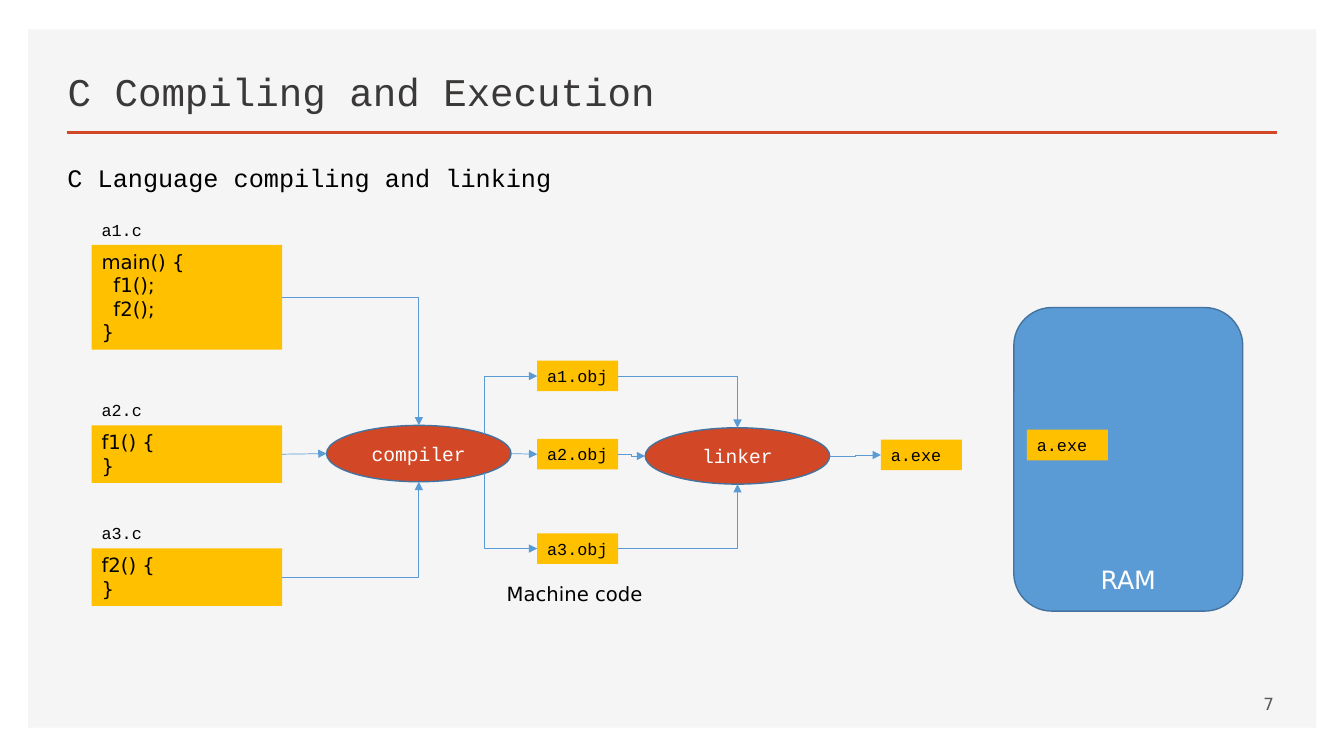
from dataclasses import dataclass
from math import sqrt

from lxml.etree import SubElement
from pptx import Presentation
from pptx.dml.color import RGBColor
from pptx.enum.shapes import MSO_CONNECTOR as CONNECTOR, MSO_SHAPE as SHAPE
from pptx.enum.text import MSO_ANCHOR as ANCHOR, MSO_AUTO_SIZE as AUTO_SIZE, PP_ALIGN as ALIGN
from pptx.oxml.ns import qn
from pptx.util import Cm, Pt


@dataclass(frozen=True)
class Theme:
    mono: str = "Courier New"
    sans: str = "DejaVu Sans"
    panel: str = "F5F5F5"
    accent: str = "D24726"
    file: str = "FFC000"
    memory: str = "5B9BD5"
    outline: str = "43739E"
    heading: str = "3B3838"
    text: str = "000000"
    light: str = "FFFFFF"
    muted: str = "595959"
    title_size: int = 28
    large_size: int = 18
    code_size: int = 14
    small_size: int = 12


@dataclass(frozen=True)
class Box:
    left: float
    top: float
    width: float
    height: float

    def inner(self, left, top, width, height):
        return Box(self.left + left, self.top + top, width, height)

    def point(self, across, down):
        return self.left + across * self.width, self.top + down * self.height

    def lengths(self):
        return Cm(self.left), Cm(self.top), Cm(self.width), Cm(self.height)


THEME = Theme()
DIAGONAL = sqrt(0.5) / 2
LEFT, RIGHT, TOP, BOTTOM = (0, 0.5), (1, 0.5), (0.5, 0), (0.5, 1)
UPPER_RIGHT = (0.5 + DIAGONAL, 0.5 - DIAGONAL)
LOWER_RIGHT = (0.5 + DIAGONAL, 0.5 + DIAGONAL)
FILE_WIDTH, FILE_HEIGHT = 2.04, 0.77
CODE_INDENT = Cm(0.3)


def color(value):
    return RGBColor.from_string(value)


def write(shape, text, font, size, ink, align=ALIGN.LEFT, anchor=ANCHOR.TOP):
    frame = shape.text_frame
    frame.text = text
    frame.word_wrap = True
    frame.auto_size = AUTO_SIZE.NONE
    frame.vertical_anchor = anchor
    if align == ALIGN.LEFT:
        frame.margin_right = 0
    for paragraph in frame.paragraphs:
        paragraph.alignment = align
        for run in paragraph.runs:
            run.font.name = font
            run.font.size = Pt(size)
            run.font.color.rgb = color(ink)


def add_text(slide, box, *style, **placing):
    write(slide.shapes.add_textbox(*box.lengths()), *style, **placing)


def add_block(slide, box, kind, fill, outline=None):
    shape = slide.shapes.add_shape(kind, *box.lengths())
    shape.shadow.inherit = False
    shape.fill.solid()
    shape.fill.fore_color.rgb = color(fill)
    if outline:
        shape.line.color.rgb = color(outline)
        shape.line.width = Pt(1)
    else:
        shape.line.fill.background()
    return shape


def add_line(slide, start, end, ink, width, kind=CONNECTOR.STRAIGHT):
    ends = [Cm(value) for value in (*start, *end)]
    line = slide.shapes.add_connector(kind, *ends)
    line.line.color.rgb = color(ink)
    line.line.width = Pt(width)
    SubElement(line._element.spPr, qn("a:effectLst"))
    return line


def add_arrow(slide, start, end, kind=CONNECTOR.STRAIGHT, corner=False, head="a:tailEnd"):
    arrow = add_line(slide, start, end, THEME.memory, 0.5, kind)
    if corner:
        arrow._element.spPr.find(qn("a:prstGeom")).set("prst", "bentConnector2")
    SubElement(arrow.line._get_or_add_ln(), qn(head), type="triangle")


def add_corner_arrow(slide, start, end, head="a:tailEnd"):
    add_arrow(slide, start, end, CONNECTOR.ELBOW, True, head)


def add_file(slide, box, name):
    block = add_block(slide, box, SHAPE.RECTANGLE, THEME.file)
    write(block, name, THEME.mono, THEME.small_size, THEME.text)
    return box


def add_tool(slide, box, name):
    oval = add_block(slide, box, SHAPE.OVAL, THEME.accent, THEME.outline)
    write(oval, name, THEME.mono, THEME.code_size, THEME.light, ALIGN.CENTER, ANCHOR.MIDDLE)
    return box


def add_frame(slide, box):
    add_block(slide, box, SHAPE.RECTANGLE, THEME.panel)
    add_line(slide, (box.left + 0.97, box.top + 2.59), (box.left + 31.47, box.top + 2.59),
             THEME.accent, 2)
    title = slide.shapes.title
    title.left, title.top, title.width, title.height = box.inner(0.74, 0.5, 19.1, 1.78).lengths()
    write(title, "C Compiling and Execution", THEME.mono, THEME.title_size, THEME.heading,
          anchor=ANCHOR.BOTTOM)
    slide.shapes._spTree.append(title._element)
    add_text(slide, box.inner(0.74, 3.22, 13.54, 1.02), "C Language compiling and linking",
             THEME.mono, THEME.large_size, THEME.text)
    add_text(slide, box.inner(22.56, 16.48, 9.09, 1.02), "7", THEME.sans, THEME.small_size,
             THEME.muted, align=ALIGN.RIGHT, anchor=ANCHOR.MIDDLE)


def add_sources(slide, box):
    sources = (
        ("a1.c", "main() {\nf1();\nf2();\n}", 0, 2.64),
        ("a2.c", "f1() {\n}", 4.55, 1.45),
        ("a3.c", "f2() {\n}", 7.65, 1.45),
    )
    blocks = []
    for name, code, top, height in sources:
        add_text(slide, box.inner(0, top, 2.31, FILE_HEIGHT), name, THEME.mono,
                 THEME.small_size, THEME.text)
        block_box = box.inner(0, top + FILE_HEIGHT, box.width, height)
        block = add_block(slide, block_box, SHAPE.RECTANGLE, THEME.file)
        write(block, code, THEME.sans, THEME.code_size, THEME.text)
        for paragraph in block.text_frame.paragraphs[1:-1]:
            paragraph._p.get_or_add_pPr().set("marL", str(CODE_INDENT))
        blocks.append(block_box)
    return blocks


def add_objects(slide, box):
    add_text(slide, box.inner(-1.02, 5.46, 4.93, 0.86), "Machine code", THEME.sans,
             THEME.code_size, THEME.text)
    return [add_file(slide, box.inner(0, top, FILE_WIDTH, FILE_HEIGHT), f"a{number}.obj")
            for number, top in enumerate((0, 1.97, 4.35), 1)]


def add_inputs(slide, files, tool):
    first, second, third = (file.point(*RIGHT) for file in files)
    add_corner_arrow(slide, first, tool.point(*TOP))
    add_corner_arrow(slide, third, tool.point(*BOTTOM))
    return second


def add_toolchain(slide, box):
    sources = add_sources(slide, box.inner(0, 0, 4.8, 9.87))
    compiler = add_tool(slide, box.inner(5.92, 5.32, 4.65, 1.42), "compiler")
    objects = add_objects(slide, box.inner(11.23, 3.69, FILE_WIDTH, 6.32))
    linker = add_tool(slide, box.inner(13.95, 5.38, 4.65, 1.42), "linker")
    program = add_file(slide, box.inner(19.89, 5.68, FILE_WIDTH, FILE_HEIGHT), "a.exe")

    add_arrow(slide, add_inputs(slide, sources, compiler), compiler.point(*LEFT))
    add_corner_arrow(slide, objects[0].point(*LEFT), compiler.point(*UPPER_RIGHT), "a:headEnd")
    add_arrow(slide, compiler.point(*RIGHT), objects[1].point(*LEFT))
    add_corner_arrow(slide, objects[2].point(*LEFT), compiler.point(*LOWER_RIGHT), "a:headEnd")
    add_arrow(slide, add_inputs(slide, objects, linker), linker.point(*LEFT), CONNECTOR.ELBOW)
    add_arrow(slide, linker.point(*RIGHT), program.point(*LEFT), CONNECTOR.ELBOW)


def add_memory(slide, box):
    memory = add_block(slide, box, SHAPE.ROUNDED_RECTANGLE, THEME.memory, THEME.outline)
    write(memory, "RAM", THEME.sans, THEME.large_size, THEME.light, ALIGN.CENTER, ANCHOR.BOTTOM)
    add_file(slide, box.inner(0.33, 3.08, FILE_WIDTH, FILE_HEIGHT), "a.exe")


def main():
    presentation = Presentation()
    presentation.slide_width, presentation.slide_height = Cm(33.87), Cm(19.05)
    slide = presentation.slides.add_slide(presentation.slide_layouts[5])
    add_frame(slide, Box(0.71, 0.74, 32.46, 17.6))
    add_toolchain(slide, Box(2.31, 5.4, 21.93, 10.01))
    add_memory(slide, Box(25.55, 7.75, 5.77, 7.65))
    presentation.save("out.pptx")


if __name__ == "__main__":
    main()
